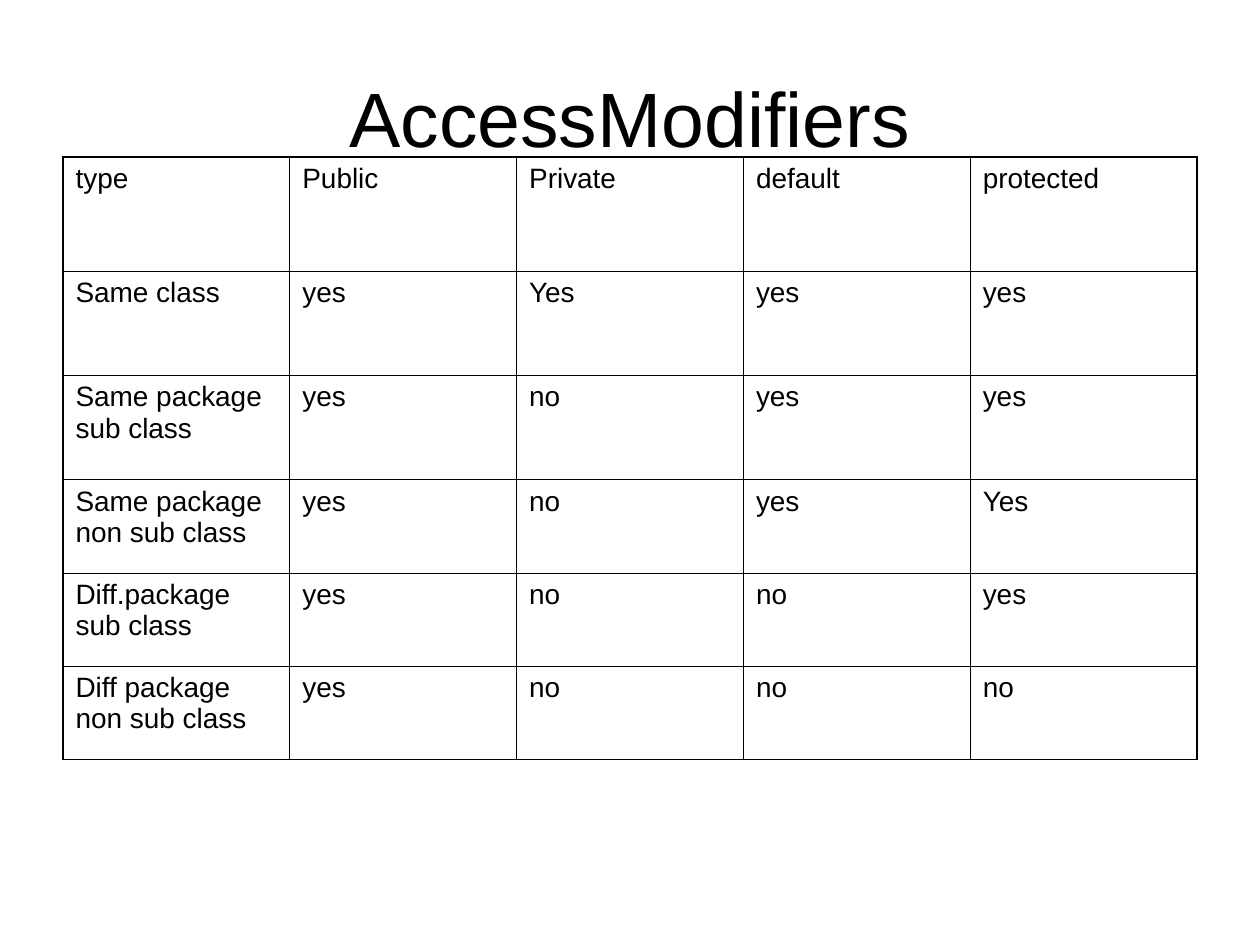
from dataclasses import dataclass

from lxml.etree import SubElement
from pptx import Presentation
from pptx.dml.color import RGBColor
from pptx.enum.text import MSO_ANCHOR as Anchor, PP_ALIGN as Align
from pptx.oxml.ns import qn
from pptx.slide import Slide
from pptx.table import _Cell as Cell
from pptx.text.text import TextFrame
from pptx.util import Cm, Pt

BLACK = RGBColor(0, 0, 0)
WHITE = RGBColor(255, 255, 255)
OUTER_LINE = Pt(1.08)
INNER_LINE = Pt(0.45)
MARGIN = Cm(1.27)
CONTENT_WIDTH = Cm(22.86)


@dataclass(frozen=True)
class AccessRow:
    label: str
    values: tuple[str, ...]
    height: float


ACCESS_ROWS = (
    AccessRow("type", ("Public", "Private", "default", "protected"), 2.3),
    AccessRow("Same class", ("yes", "Yes", "yes", "yes"), 2.1),
    AccessRow("Same package sub class", ("yes", "no", "yes", "yes"), 2.1),
    AccessRow("Same package non sub class", ("yes", "no", "yes", "Yes"), 1.88),
    AccessRow("Diff.package sub class", ("yes", "no", "no", "yes"), 1.88),
    AccessRow("Diff package non sub class", ("yes", "no", "no", "no"), 1.88),
)


def write(frame: TextFrame, text: str, *, size: float,
          align: Align = Align.LEFT, anchor: Anchor = Anchor.TOP) -> None:
    frame.word_wrap = True
    frame.vertical_anchor = anchor
    paragraph = frame.paragraphs[0]
    paragraph.alignment = align
    run = paragraph.add_run()
    run.text = text
    run.font.name = "Arial"
    run.font.size = Pt(size)
    run.font.color.rgb = BLACK


def set_borders(cell: Cell, outer_sides: dict[str, bool]) -> None:
    properties = cell._tc.get_or_add_tcPr()
    for position, (side, is_outer) in enumerate(outer_sides.items()):
        width = OUTER_LINE if is_outer else INNER_LINE
        border = SubElement(properties, qn(f"a:ln{side}"), w=str(int(width)))
        solid = SubElement(border, qn("a:solidFill"))
        SubElement(solid, qn("a:srgbClr"), val=str(BLACK))
        properties.insert(position, border)


def add_title(slide: Slide, text: str) -> None:
    title = slide.shapes.add_textbox(MARGIN, Cm(0.76), CONTENT_WIDTH, Cm(3.18))
    write(title.text_frame, text, size=44, align=Align.CENTER, anchor=Anchor.MIDDLE)


def add_access_table(slide: Slide, rows: tuple[AccessRow, ...]) -> None:
    column_count = len(rows[0].values) + 1
    total_height = Cm(sum(row.height for row in rows))
    access = slide.shapes.add_table(
        len(rows), column_count, MARGIN, Cm(3.17), CONTENT_WIDTH, total_height
    ).table
    access.first_row = False
    access.horz_banding = False
    for row_index, row in enumerate(rows):
        access.rows[row_index].height = Cm(row.height)
        for column_index, text in enumerate((row.label, *row.values)):
            cell = access.cell(row_index, column_index)
            write(cell.text_frame, text, size=16)
            cell.fill.solid()
            cell.fill.fore_color.rgb = WHITE
            set_borders(cell, {
                "L": column_index == 0,
                "R": column_index == column_count - 1,
                "T": row_index == 0,
                "B": row_index == len(rows) - 1,
            })


def main() -> None:
    deck = Presentation()
    deck.slide_width = Cm(25.4)
    deck.slide_height = Cm(19.05)
    slide = deck.slides.add_slide(deck.slide_layouts[6])
    slide.background.fill.solid()
    slide.background.fill.fore_color.rgb = WHITE
    add_title(slide, "AccessModifiers")
    add_access_table(slide, ACCESS_ROWS)
    deck.save("out.pptx")


if __name__ == "__main__":
    main()
